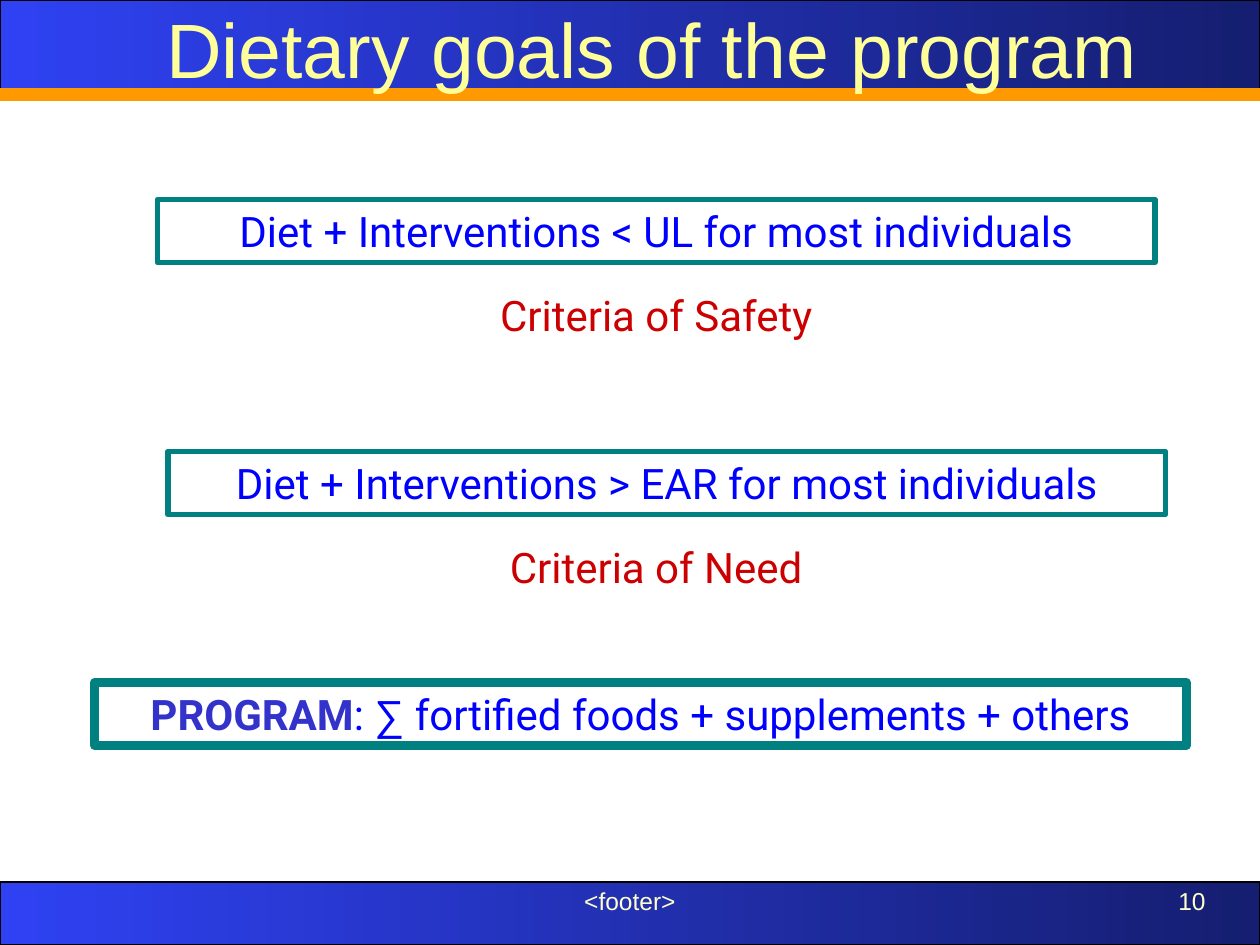
from dataclasses import dataclass
from typing import Optional

from lxml import etree
from pptx import Presentation
from pptx.dml.color import RGBColor
from pptx.enum.shapes import MSO_CONNECTOR, MSO_SHAPE
from pptx.enum.text import MSO_ANCHOR, PP_ALIGN
from pptx.oxml.ns import qn
from pptx.util import Pt

RECT = MSO_SHAPE.RECTANGLE
STRAIGHT = MSO_CONNECTOR.STRAIGHT
TOP = MSO_ANCHOR.TOP
CENTER, RIGHT = PP_ALIGN.CENTER, PP_ALIGN.RIGHT


@dataclass(frozen=True)
class Theme:
    band_light: str = "2F42F3"
    band_dark: str = "151E70"
    band_line: str = "000000"
    rule: str = "FF9900"
    title: str = "FFFF99"
    footer: str = "FFFFCC"
    frame: str = "008080"
    goal: str = "0000FF"
    criterion: str = "CC0000"
    program: str = "3333CC"
    title_size: float = 44
    body_size: float = 24
    footer_size: float = 14
    title_font: str = "Arial"
    body_font: str = "Roboto"


THEME = Theme()
WIDTH, HEIGHT = 720, 540


@dataclass(frozen=True)
class Run:
    text: str
    color: Optional[str] = None
    font: Optional[str] = None
    bold: Optional[bool] = None


@dataclass(frozen=True)
class Label:
    left: float
    top: float
    width: float
    height: float
    runs: tuple[Run, ...]
    color: str
    size: float = THEME.body_size
    font: str = THEME.body_font
    align: PP_ALIGN = CENTER
    frame_width: float = 0
    top_inset: float = 3.6


LABELS = (
    Label(246, 502.8, 228, 37.2, (Run("<footer>"),), THEME.footer,
          THEME.footer_size, THEME.title_font),
    Label(528, 502.8, 168, 37.2, (Run("10"),), THEME.footer,
          THEME.footer_size, THEME.title_font, RIGHT),
    Label(66, -6, 613.5, 54, (Run("Dietary goals of the program"),), THEME.title,
          THEME.title_size, THEME.title_font, top_inset=7),
    Label(96, 258, 570, 36, (Run("Diet + Interventions > EAR for most individuals"),),
          THEME.goal, frame_width=3.25),
    Label(90, 306, 570, 36, (Run("Criteria of Need"),), THEME.criterion),
    Label(90, 114, 570, 36, (Run("Diet + Interventions < UL for most individuals"),),
          THEME.goal, frame_width=3.25),
    Label(90, 162, 570, 36, (Run("Criteria of Safety"),), THEME.criterion),
    Label(54, 390, 624, 36,
          (Run("PROGRAM", color=THEME.program, bold=True), Run(": "),
           Run("∑", font=THEME.title_font),
           Run(" fortified foods + supplements + others")),
          THEME.goal, frame_width=5),
)


def rgb(color: str) -> RGBColor:
    return RGBColor.from_string(color)


def add_band(slide, top: float, height: float) -> None:
    s = slide.shapes.add_shape(RECT, 0, Pt(top), Pt(WIDTH), Pt(height))
    s.shadow.inherit = False
    s.fill.gradient()
    s.fill.gradient_angle = 0
    for stop, color in zip(s.fill.gradient_stops, (THEME.band_light, THEME.band_dark)):
        stop.color.rgb = rgb(color)
    s.line.color.rgb = rgb(THEME.band_line)
    s.line.width = Pt(0.75)


def add_rule(slide, y: float) -> None:
    s = slide.shapes.add_connector(STRAIGHT, 0, Pt(y), Pt(WIDTH), Pt(y))
    s.line.color.rgb = rgb(THEME.rule)
    s.line.width = Pt(8)
    etree.SubElement(s._element.spPr, qn("a:effectLst"))


def add_label(slide, label: Label) -> None:
    box = Pt(label.left), Pt(label.top), Pt(label.width), Pt(label.height)
    if label.frame_width:
        s = slide.shapes.add_shape(RECT, *box)
        s.shadow.inherit = False
        s.fill.background()
        s.line.color.rgb = rgb(THEME.frame)
        s.line.width = Pt(label.frame_width)
    else:
        s = slide.shapes.add_textbox(*box)
    tf = s.text_frame
    tf.word_wrap = True
    tf.vertical_anchor = TOP
    tf.margin_top = Pt(label.top_inset)
    p = tf.paragraphs[0]
    p.alignment = label.align
    p.font.size = Pt(label.size)
    p.font.name = label.font
    p.font.color.rgb = rgb(label.color)
    for run in label.runs:
        r = p.add_run()
        r.text = run.text
        r.font.bold = run.bold
        if run.font:
            r.font.name = run.font
        # Runs in a shape take the shape style's colour unless set here.
        r.font.color.rgb = rgb(run.color or label.color)


def main() -> None:
    prs = Presentation()
    prs.slide_width, prs.slide_height = Pt(WIDTH), Pt(HEIGHT)
    slide = prs.slides.add_slide(prs.slide_layouts[6])
    add_band(slide, 0, 54)
    add_rule(slide, 54)
    add_band(slide, 504, 36)
    for label in LABELS:
        add_label(slide, label)
    prs.save("out.pptx")


if __name__ == "__main__":
    main()
